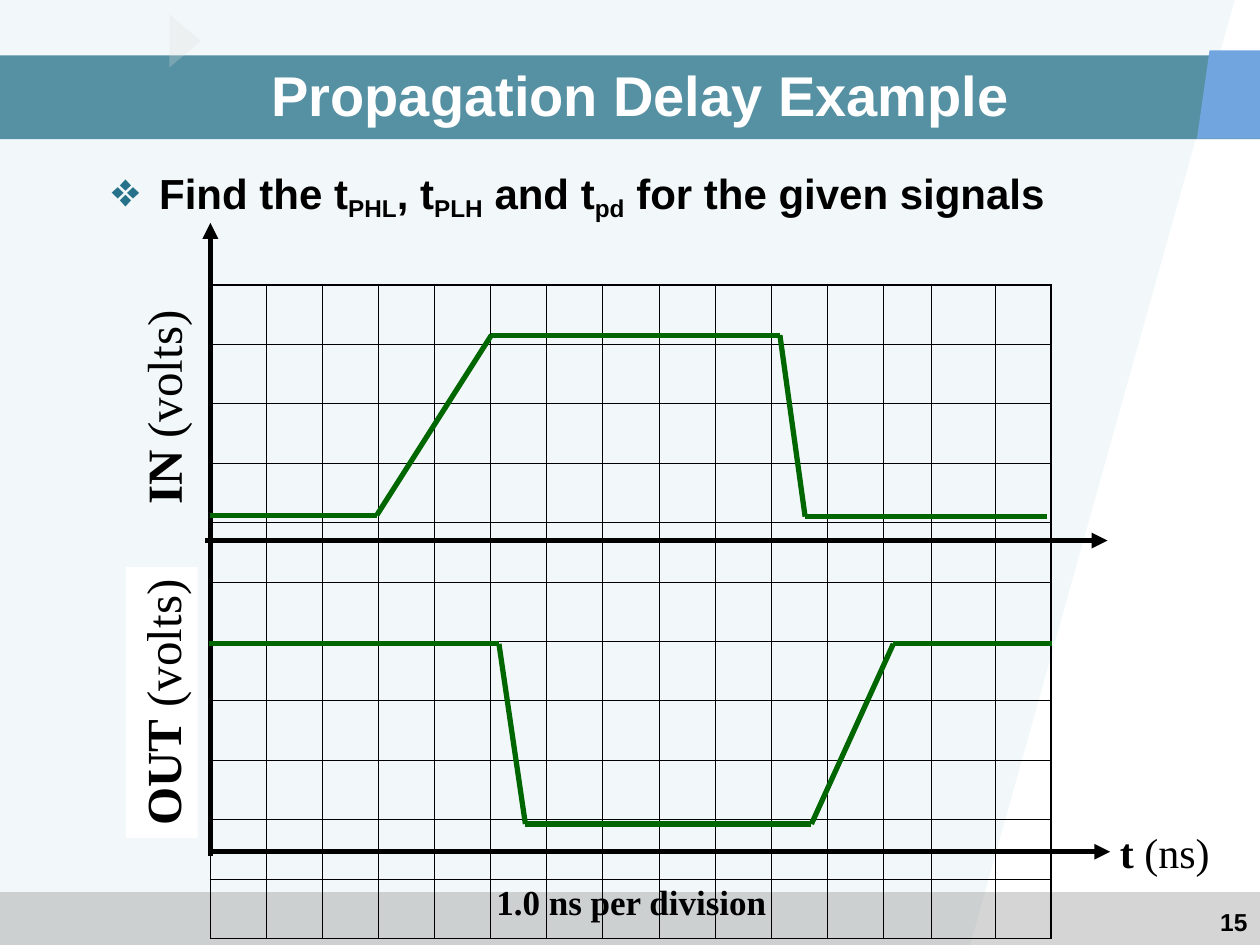
import dataclasses
import itertools

import lxml.etree
import pptx
import pptx.dml.color
import pptx.enum.shapes
import pptx.enum.text
import pptx.oxml
import pptx.oxml.ns
import pptx.util

SHAPE = pptx.enum.shapes.MSO_SHAPE
ALIGN = pptx.enum.text.PP_ALIGN
FIT = pptx.enum.text.MSO_AUTO_SIZE
UNIT = 91440  # one column or row of a 100 by 75 grid
BLACK, WHITE, GREEN, TEAL = "000000", "FFFFFF", "006600", "26728A"
SANS, SERIF = "Arial", "Times New Roman"


@dataclasses.dataclass
class Box:
    left: float
    top: float
    wide: float
    high: float

    def spots(self) -> list[int]:
        return [grid(n) for n in dataclasses.astuple(self)]


@dataclasses.dataclass
class Run:
    text: str
    bold: bool = True
    sub: bool = False


@dataclasses.dataclass
class Label:
    box: Box
    runs: list[Run]
    size: float
    font: str = SERIF
    turn: float = 0
    wrap: bool = True
    fill: str = ""
    align: ALIGN = ALIGN.LEFT


@dataclasses.dataclass
class Trace:
    points: list[tuple[float, float]]
    color: str = GREEN
    arrow: bool = False


def grid(count: float) -> int:
    return round(count * UNIT)


def tint(code: str) -> pptx.dml.color.RGBColor:
    return pptx.dml.color.RGBColor.from_string(code)


def child(parent, tag: str, **attrs: str):
    item = lxml.etree.SubElement(parent, pptx.oxml.ns.qn(tag))
    for key, value in attrs.items():
        item.set(key, value)
    return item


def paint(shape, code: str, share: int = 100) -> None:
    shape.shadow.inherit = False
    shape.fill.solid()
    shape.fill.fore_color.rgb = tint(code)
    shape.line.fill.background()
    if share < 100:
        color = shape._element.spPr.find(".//" + pptx.oxml.ns.qn("a:srgbClr"))
        child(color, "a:alpha", val=str(share * 1000))


def block(shapes, kind: SHAPE, box: Box, code: str, share: int = 100):
    shape = shapes.add_shape(kind, *box.spots())
    paint(shape, code, share)
    return shape


def patch(shapes, points: list[tuple[float, float]], code: str, share: int = 100) -> None:
    form = shapes.build_freeform(*points[0], scale=UNIT)
    form.add_line_segments(points[1:], close=True)
    paint(form.convert_to_shape(), code, share)


def style(run, size: float, font: str, code: str, bold: bool = True) -> None:
    run.font.size = pptx.util.Pt(size)
    run.font.name = font
    run.font.bold = bold
    run.font.color.rgb = tint(code)


def write(shapes, label: Label):
    shape = shapes.add_textbox(*label.box.spots())
    shape.rotation = label.turn
    if label.fill:
        shape.fill.solid()
        shape.fill.fore_color.rgb = tint(label.fill)
    frame = shape.text_frame
    frame.word_wrap = label.wrap
    frame.auto_size = FIT.NONE if label.font == SANS else FIT.SHAPE_TO_FIT_TEXT
    para = frame.paragraphs[0]
    para.alignment = label.align
    for part in label.runs:
        run = para.add_run()
        run.text = part.text
        style(run, label.size, label.font, BLACK, part.bold)
        if part.sub:
            run._r.get_or_add_rPr().set("baseline", "-20000")
    return shape


def bullet(para, sign: str, code: str, share: int) -> None:
    props = para._p.get_or_add_pPr()
    props.set("marL", str(grid(3.75)))
    props.set("indent", str(-grid(3.75)))
    child(child(props, "a:buClr"), "a:srgbClr", val=code)
    child(props, "a:buSzPct", val=str(share * 1000))
    child(props, "a:buChar", char=sign)


def draw(shapes, trace: Trace) -> None:
    for start, end in itertools.pairwise(trace.points):
        line = shapes.add_connector(
            pptx.enum.shapes.MSO_CONNECTOR.STRAIGHT, *map(grid, start + end))
        line.line.color.rgb = tint(trace.color)
        line.line.width = pptx.util.Pt(3)
        if trace.arrow:
            child(line.line._get_or_add_ln(), "a:tailEnd", type="triangle")
        child(line._element.spPr, "a:effectLst")


def edge(cell, tag: str, width: float) -> None:
    line = child(cell._tc.get_or_add_tcPr(), tag, w=str(pptx.util.Pt(width)))
    child(child(line, "a:solidFill"), "a:srgbClr", val=BLACK)


def mesh(shapes, box: Box, wides: list[float], rows: int) -> None:
    table = shapes.add_table(rows, len(wides), *box.spots()).table
    table.first_row = table.horz_banding = False
    for col, wide in zip(table.columns, wides):
        col.width = grid(wide)
    for row in table.rows:
        row.height = grid(box.high / rows)
    last = len(wides) - 1
    for y, x in itertools.product(range(rows), range(last + 1)):
        cell = table.cell(y, x)
        outer = {"a:lnL": x == 0, "a:lnR": x == last, "a:lnT": y == 0, "a:lnB": y == rows - 1}
        for tag, rim in outer.items():
            edge(cell, tag, 1.08 if rim else 0.45)
        cell.fill.background()


def main() -> None:
    deck = pptx.Presentation()
    deck.slide_width, deck.slide_height = grid(100), grid(75)
    slide = deck.slides.add_slide(deck.slide_layouts[5])
    shapes = slide.shapes

    patch(shapes, [(0, 0), (97.6, 0), (77.4, 75), (0, 75)], "9FCAD3", 13)
    block(shapes, SHAPE.RECTANGLE, Box(0, 70.8, 100, 4.2), "969696", 40)
    block(shapes, SHAPE.RECTANGLE, Box(0, 4.4, 100, 6.65), TEAL, 77)
    patch(shapes, [(96.5, 4.4), (94.8, 11.1), (100, 11.1), (100, 4.4)], "71A5DF")
    block(shapes, SHAPE.ISOSCELES_TRIANGLE, Box(12.6, 2, 4.2, 2.5), "DDDDDD", 27).rotation = 90
    write(shapes, Label(Box(76.7, 71.5, 23.3, 3.5), [Run("15")], 14, SANS, align=ALIGN.RIGHT))

    title = shapes.title
    title.left, title.top, title.width, title.height = Box(5, 5, 91.7, 5).spots()
    title.text_frame.text = "Propagation Delay Example"
    title.text_frame.vertical_anchor = pptx.enum.text.MSO_ANCHOR.MIDDLE
    title.text_frame.paragraphs[0].alignment = ALIGN.CENTER
    style(title.text_frame.paragraphs[0].runs[0], 32, SANS, WHITE)
    shapes._spTree.append(title._element)

    task = write(shapes, Label(Box(7.9, 12.8, 85, 55), [
        Run("Find the t"), Run("PHL", sub=True), Run(", t"), Run("PLH", sub=True),
        Run(" and t"), Run("pd", sub=True), Run(" for the given signals")], 24, SANS))
    bullet(task.text_frame.paragraphs[0], "❖", TEAL, 115)

    mesh(shapes, Box(16.7, 22.6, 66.7, 51.9), [4.45] * 12 + [3.8, 5.1, 4.45], 11)
    for axis in ([(16.7, 67.9), (16.7, 17.7)], [(16.3, 42.9), (87.9, 42.9)],
                 [(16.5, 67.6), (88.1, 67.6)]):
        draw(shapes, Trace(axis, BLACK, True))

    volts = Run(" (volts)", False)
    write(shapes, Label(Box(4.2, 29.5, 17.4, 5.7), [Run("IN"), volts], 28, turn=270, wrap=False))
    write(shapes, Label(Box(2.1, 52.9, 21.5, 5.7), [Run("OUT"), volts], 28,
                        turn=270, wrap=False, fill=WHITE))
    draw(shapes, Trace([(16.7, 40.9), (29.9, 40.9), (39, 26.6), (61.9, 26.6),
                        (63.9, 41), (83.1, 41)]))
    draw(shapes, Trace([(16.6, 51.1), (39.6, 51.1), (41.7, 65.4), (64.4, 65.4),
                        (70.9, 51.1), (83.5, 51.1)]))
    write(shapes, Label(Box(87.9, 65.1, 9.4, 5), [Run("t "), Run("(ns)", False)], 24))
    write(shapes, Label(Box(38.4, 69.4, 24.1, 4.4), [Run("1.0 ns per division")], 20))
    deck.save("out.pptx")


if __name__ == "__main__":
    main()
